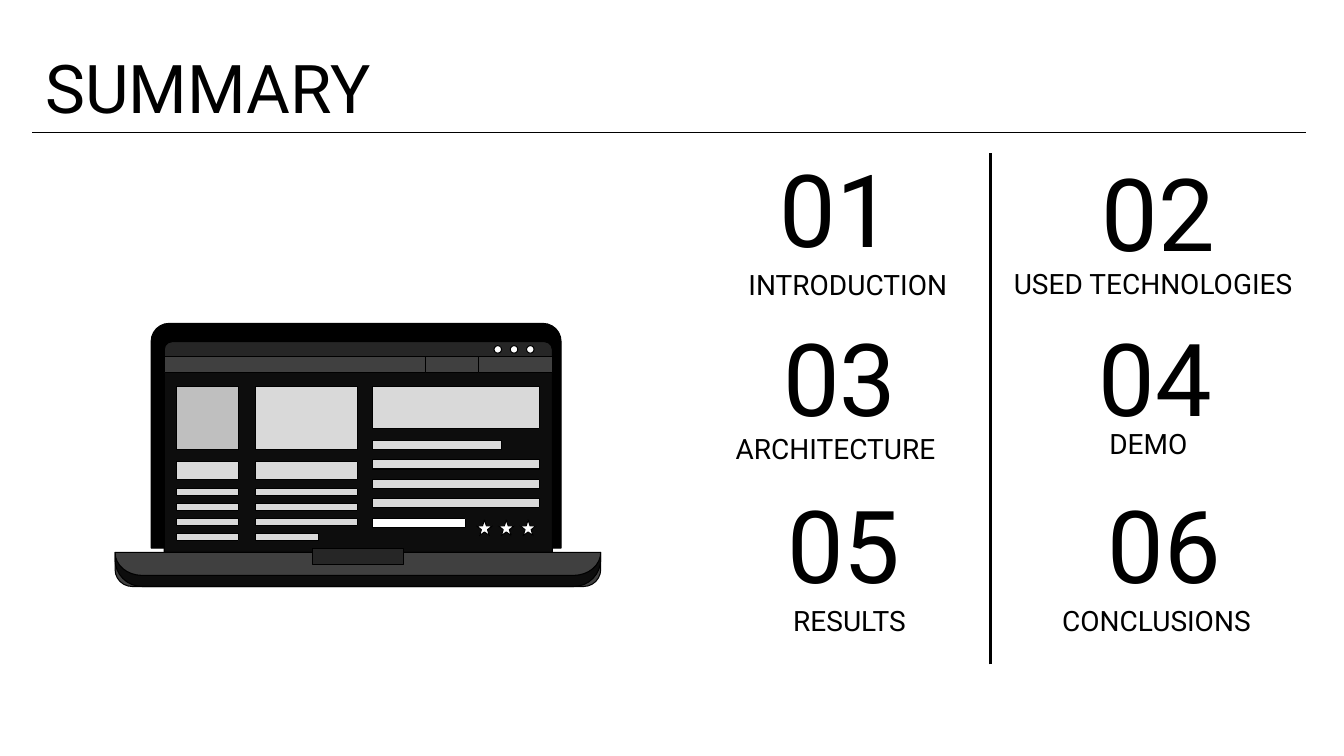
from dataclasses import dataclass
from math import cos, pi, sin

from lxml.etree import SubElement
from pptx import Presentation
from pptx.dml.color import RGBColor
from pptx.enum.shapes import MSO_CONNECTOR as Connector
from pptx.enum.shapes import MSO_SHAPE as Preset
from pptx.enum.text import MSO_ANCHOR as Anchor
from pptx.enum.text import PP_ALIGN as Align
from pptx.oxml.ns import qn
from pptx.shapes.autoshape import Shape
from pptx.shapes.shapetree import GroupShapes, SlideShapes
from pptx.util import Cm, Pt


@dataclass(frozen=True)
class Theme:
    font: str = "Roboto"
    ink: str = "000000"
    screen: str = "0D0D0D"
    dark: str = "262626"
    medium: str = "404040"
    photo: str = "BFBFBF"
    light: str = "D9D9D9"
    white: str = "FFFFFF"
    title_size: int = 48
    number_size: int = 72
    label_size: int = 20
    outline: float = 0.75
    divider: float = 2.25


THEME = Theme()


@dataclass(frozen=True)
class Box:
    left: float
    top: float
    width: float
    height: float

    def lengths(self) -> tuple[Cm, Cm, Cm, Cm]:
        return Cm(self.left), Cm(self.top), Cm(self.width), Cm(self.height)


@dataclass(frozen=True)
class Part:
    """A piece of the laptop; corners are the preset's adjustments."""
    box: Box
    colour: str
    preset: Preset = Preset.RECTANGLE
    corners: tuple[float, ...] = ()


@dataclass(frozen=True)
class Caption:
    text: str
    box: Box
    size: int
    align: Align = Align.LEFT
    anchor: Anchor = Anchor.BOTTOM
    inset: float = 0


@dataclass(frozen=True)
class Column:
    """A column of the web page on the screen: a picture above text lines."""
    left: float
    picture: tuple[float, str]
    line_top: float
    line_step: float
    line_height: float
    line_widths: tuple[float, ...]
    width: float
    heading: bool = True
    last_colour: str = THEME.light


@dataclass(frozen=True)
class Rule:
    start: tuple[float, float]
    end: tuple[float, float]
    weight: float


def number(text: str, left: float, top: float, width: float, height: float,
           align: Align = Align.LEFT) -> Caption:
    return Caption(text, Box(left, top, width, height), THEME.number_size, align)


def label(text: str, left: float, top: float, width: float,
          align: Align = Align.LEFT) -> Caption:
    return Caption(text, Box(left, top, width, 1.17), THEME.label_size, align, Anchor.MIDDLE)


CAPTIONS = (
    Caption("SUMMARY", Box(0.81, 1.04, 10.16, 2.51), THEME.title_size, inset=0.33),
    number("01", 19.53, 4.14, 2.97, 2.64, Align.RIGHT),
    label("INTRODUCTION", 18.36, 6.63, 5.51, Align.RIGHT),
    number("02", 27.76, 4.5, 3.12, 2.39),
    label("USED TECHNOLOGIES", 25.55, 6.6, 8.15),
    number("03", 19.74, 8.66, 3.12, 2.39),
    label("ARCHITECTURE", 18.54, 10.77, 5.94),
    number("04", 27.2, 8.41, 3.35, 2.64, Align.RIGHT),
    label("DEMO", 26.87, 10.64, 4.14, Align.CENTER),
    number("05", 19.84, 12.8, 3, 2.44),
    label("RESULTS", 18.69, 15.09, 5.44, Align.CENTER),
    number("06", 27.91, 12.8, 3, 2.44),
    label("CONCLUSIONS", 26.77, 15.09, 5.44),
)

RULES = (
    Rule((24.97, 16.74), (24.97, 3.86), THEME.divider),
    Rule((0.81, 3.33), (32.92, 3.33), THEME.outline),
)

ROUNDED = Preset.ROUND_2_SAME_RECTANGLE
TRAY = Box(2.9, 13.92, 12.24, 0.86)
CASE = (
    Part(Box(3.81, 8.15, 10.33, 5.66), THEME.ink, ROUNDED, (0.08, 0)),
    Part(Box(4.14, 8.61, 9.78, 5.31), THEME.screen, ROUNDED, (0.04, 0)),
    Part(TRAY, THEME.medium, ROUNDED, (0, 0.5)),
    Part(Box(7.87, 13.82, 2.31, 0.4), THEME.dark),
)
BROWSER = (
    Part(Box(4.14, 8.61, 9.78, 0.4), THEME.dark, ROUNDED, (0.5, 0)),
    Part(Box(4.14, 8.99, 9.78, 0.41), THEME.medium),
    Part(Box(12.07, 8.99, 1.85, 0.41), THEME.medium),
    Part(Box(10.72, 8.99, 1.35, 0.41), THEME.medium),
)
DOTS = tuple(Part(Box(12.45 + 0.41 * i, 8.71, 0.19, 0.19), THEME.white, Preset.OVAL)
             for i in range(3))
STARS = tuple(Part(Box(12.01 + 0.55 * i, 13.1, 0.4, 0.4), THEME.white, Preset.STAR_5_POINT)
              for i in range(3))
COLUMNS = (
    Column(4.45, (1.57, THEME.photo), 12.31, 0.38, 0.18, (1.57,) * 4, 1.57),
    Column(6.45, (1.57, THEME.light), 12.31, 0.38, 0.18, (2.57, 2.57, 2.57, 1.57), 2.57),
    Column(9.4, (1.06, THEME.light), 11.1, 0.49, 0.23, (3.23, 4.21, 4.21, 4.21, 2.34),
           4.21, heading=False, last_colour=THEME.white),
)


def column_parts(column: Column) -> list[Part]:
    picture_height, picture_colour = column.picture
    parts = [Part(Box(column.left, 9.75, column.width, picture_height), picture_colour)]
    if column.heading:
        parts.append(Part(Box(column.left, 11.63, column.width, 0.46), THEME.light))
    last = len(column.line_widths) - 1
    for row, width in enumerate(column.line_widths):
        top = column.line_top + row * column.line_step
        colour = column.last_colour if row == last else THEME.light
        parts.append(Part(Box(column.left, top, width, column.line_height), colour))
    return parts


def paint(shape: Shape, colour: str) -> None:
    shape.shadow.inherit = False
    shape.fill.solid()
    shape.fill.fore_color.rgb = RGBColor.from_string(colour)
    shape.line.color.rgb = RGBColor.from_string(THEME.ink)
    shape.line.width = Pt(THEME.outline)


def draw_part(shapes: GroupShapes, part: Part) -> None:
    shape = shapes.add_shape(part.preset, *part.box.lengths())
    for index, corner in enumerate(part.corners):
        shape.adjustments[index] = corner
    paint(shape, part.colour)


def draw_tray_edge(shapes: GroupShapes) -> None:
    """Draw the dark crescent along the underside of the tray."""
    radius, rim, steps = 0.68, 0.28, 8
    right, bottom = TRAY.left + TRAY.width, TRAY.top + TRAY.height
    angles = [pi / 2 * step / steps for step in range(steps + 1)]

    def curve(base: float, depth: float) -> list[tuple[float, float]]:
        """Points from the left end, round both corners, to the right end."""
        corner = [(radius * (1 - cos(a)), base - depth * (1 - sin(a))) for a in angles]
        return ([(TRAY.left + x, y) for x, y in corner]
                + [(right - x, y) for x, y in reversed(corner)])

    inner_base = bottom - rim
    outline = curve(bottom, radius) + curve(inner_base, inner_base - TRAY.top)[::-1]
    points = [(Cm(x), Cm(y)) for x, y in outline]
    builder = shapes.build_freeform(*points[0])
    builder.add_line_segments(points[1:], close=True)
    paint(builder.convert_to_shape(), THEME.screen)


def draw_laptop(shapes: GroupShapes) -> None:
    for part in CASE:
        draw_part(shapes, part)
    draw_tray_edge(shapes)
    page = [part for column in COLUMNS for part in column_parts(column)]
    for part in (*BROWSER, *DOTS, *page, *STARS):
        draw_part(shapes, part)


def draw_caption(shapes: SlideShapes, caption: Caption) -> None:
    frame = shapes.add_textbox(*caption.box.lengths()).text_frame
    frame_format = {"word_wrap": True, "vertical_anchor": caption.anchor}
    for side in ("left", "top", "right", "bottom"):
        frame_format[f"margin_{side}"] = Cm(caption.inset)
    paragraph = frame.paragraphs[0]
    run = paragraph.add_run()
    run.text = caption.text
    run.font.color.rgb = RGBColor.from_string(THEME.ink)
    for target, values in (
        (frame, frame_format),
        (paragraph, {"alignment": caption.align, "line_spacing": 0.9}),
        (run.font, {"name": THEME.font, "size": Pt(caption.size)}),
    ):
        for name, value in values.items():
            setattr(target, name, value)


def draw_rule(shapes: SlideShapes, rule: Rule) -> None:
    ends = [Cm(value) for value in (*rule.start, *rule.end)]
    connector = shapes.add_connector(Connector.STRAIGHT, *ends)
    connector.line.color.rgb = RGBColor.from_string(THEME.ink)
    connector.line.width = Pt(rule.weight)
    SubElement(connector._element.spPr, qn("a:effectLst"))


def main() -> None:
    presentation = Presentation()
    presentation.slide_width, presentation.slide_height = Cm(33.87), Cm(19.05)
    slide = presentation.slides.add_slide(presentation.slide_layouts[6])
    draw_laptop(slide.shapes.add_group_shape().shapes)
    for rule in RULES:
        draw_rule(slide.shapes, rule)
    for caption in CAPTIONS:
        draw_caption(slide.shapes, caption)
    presentation.save("out.pptx")


if __name__ == "__main__":
    main()
